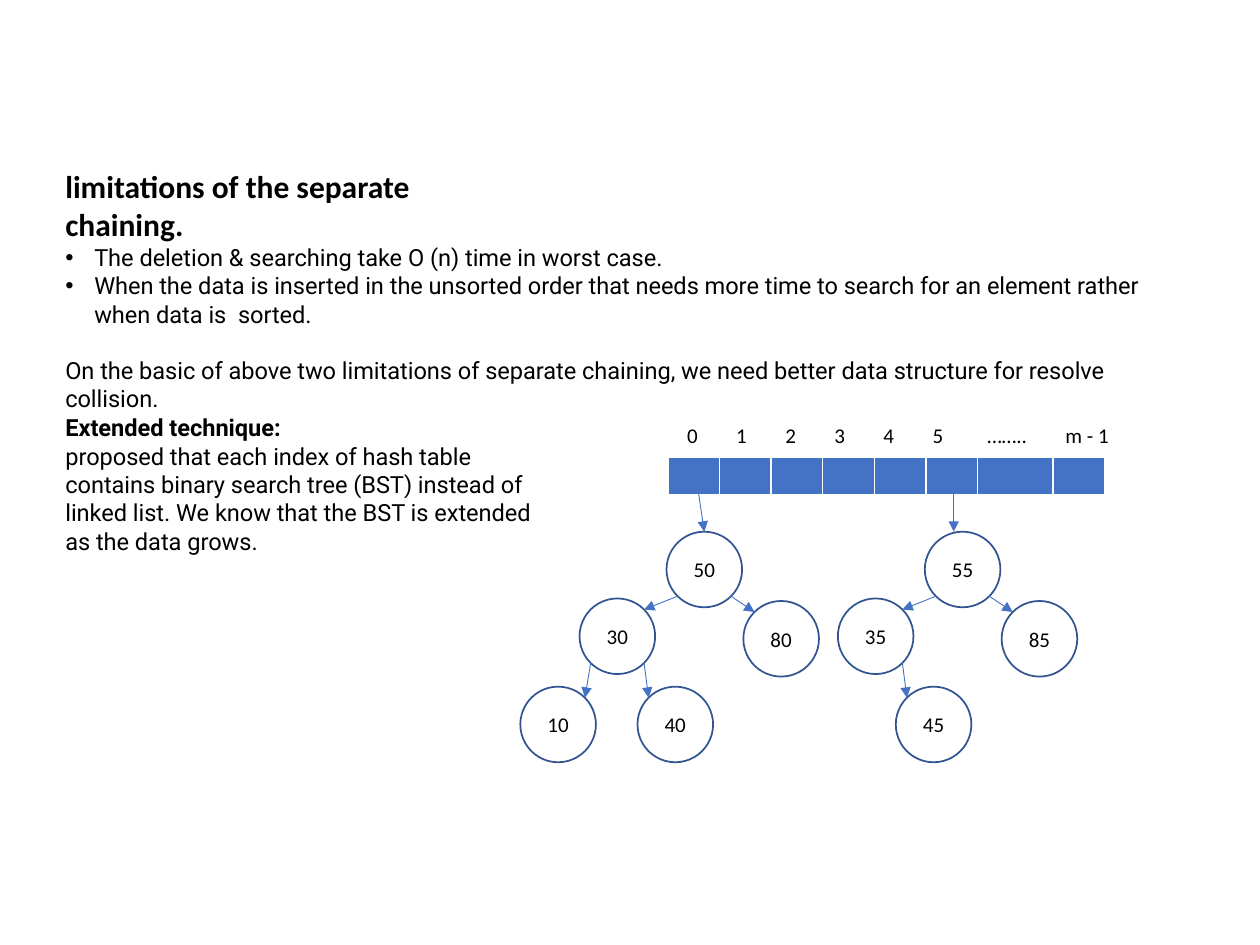
from dataclasses import dataclass

from lxml import etree
from pptx import Presentation
from pptx import util as u
from pptx.dml.color import RGBColor
from pptx.enum import shapes, text
from pptx.oxml.ns import qn


@dataclass(frozen=True)
class Theme:
    ink: RGBColor = RGBColor(0x00, 0x00, 0x00)
    paper: RGBColor = RGBColor(0xFF, 0xFF, 0xFF)
    blue: RGBColor = RGBColor(0x44, 0x72, 0xC4)
    outline: RGBColor = RGBColor(0x32, 0x54, 0x91)
    label_font: str = "Calibri"
    body_font: str = "Roboto"
    title_size: float = 18
    body_size: float = 13.5
    label_size: float = 12


THEME = Theme()


@dataclass(frozen=True)
class Line:
    words: str
    font: str = THEME.body_font
    size: float = THEME.body_size
    bold: bool = False
    bullet: bool = False
    space_before: float = 0


@dataclass(frozen=True)
class Node:
    x: float
    y: float
    key: str
    left: "Node | None" = None
    right: "Node | None" = None


RADIUS = 0.3
DIAGONAL = RADIUS * 0.5 ** 0.5
ROOT_X, ROOT_Y = 5.59, 4.52
TREE_SHIFT = 2.05
STEM_X, STEM_Y = 5.52, 3.75


def add_span(para, line: Line) -> None:
    span = para.add_run()
    span.text = line.words
    span.font.name = line.font
    span.font.size = u.Pt(line.size)
    span.font.bold = line.bold
    span.font.color.rgb = THEME.ink


def add_bullet(para) -> None:
    props = para._p.get_or_add_pPr()
    indent = u.Inches(0.23)
    props.set("marL", str(indent))
    props.set("indent", str(-indent))
    etree.SubElement(props, qn("a:buFont"), typeface="Arial")
    etree.SubElement(props, qn("a:buChar"), char="•")


def add_text(page, left: float, top: float, width: float, height: float,
             lines: list[Line]) -> None:
    box = page.shapes.add_textbox(*map(u.Inches, (left, top, width, height)))
    frame = box.text_frame
    frame.word_wrap = True
    frame.auto_size = text.MSO_AUTO_SIZE.SHAPE_TO_FIT_TEXT
    for index, line in enumerate(lines):
        para = frame.add_paragraph() if index else frame.paragraphs[0]
        if line.space_before:
            para.space_before = u.Pt(line.space_before)
        if line.bullet:
            add_bullet(para)
        add_span(para, line)


def add_row(page, left: float, top: float, height: float,
            widths: list[float], labels: list[str], fill: RGBColor | None) -> None:
    table = page.shapes.add_table(
        1, len(widths), *map(u.Inches, (left, top, sum(widths), height))).table
    table.rows[0].height = u.Inches(height)
    for column, width, cell, label in zip(
            table.columns, widths, table.rows[0].cells, labels):
        column.width = u.Inches(width)
        cell.margin_left = cell.margin_right = u.Inches(0.07)
        cell.margin_top = cell.margin_bottom = u.Inches(0.04 if label else 0)
        if fill is None:
            cell.fill.background()
        else:
            cell.fill.solid()
            cell.fill.fore_color.rgb = fill
        if label:
            para = cell.text_frame.paragraphs[0]
            para.alignment = text.PP_ALIGN.CENTER
            add_span(para, Line(label, THEME.label_font, THEME.label_size))


def add_arrow(page, x1: float, y1: float, x2: float, y2: float) -> None:
    arrow = page.shapes.add_connector(
        shapes.MSO_CONNECTOR.STRAIGHT, *map(u.Inches, (x1, y1, x2, y2)))
    arrow.line.color.rgb = THEME.blue
    arrow.line.width = u.Pt(0.5)
    etree.SubElement(arrow.line._get_or_add_ln(), qn("a:tailEnd"), type="triangle")
    etree.SubElement(arrow._element.spPr, qn("a:effectLst"))


def add_tree(page, node: Node) -> None:
    circle = page.shapes.add_shape(
        shapes.MSO_SHAPE.OVAL,
        *map(u.Inches, (node.x - RADIUS, node.y - RADIUS, 2 * RADIUS, 2 * RADIUS)))
    circle.shadow.inherit = False
    circle.fill.solid()
    circle.fill.fore_color.rgb = THEME.paper
    circle.line.color.rgb = THEME.outline
    circle.line.width = u.Pt(1)
    circle.text_frame.vertical_anchor = text.MSO_ANCHOR.MIDDLE
    para = circle.text_frame.paragraphs[0]
    para.alignment = text.PP_ALIGN.CENTER
    add_span(para, Line(node.key, THEME.label_font, THEME.label_size))
    for child, side in ((node.left, -1), (node.right, 1)):
        if child:
            add_tree(page, child)
            add_arrow(page, node.x + side * DIAGONAL, node.y + DIAGONAL,
                      child.x - side * DIAGONAL, child.y - DIAGONAL)


def make_tree(x: float, root: str, left: str, right: str,
              inner_left: str, inner_right: str) -> Node:
    low = ROOT_Y + 1.23
    lower_left = Node(x - 1.16, low, inner_left) if inner_left else None
    lower_right = Node(x - 0.23, low, inner_right)
    return Node(x, ROOT_Y, root,
                Node(x - 0.69, ROOT_Y + 0.53, left, lower_left, lower_right),
                Node(x + 0.61, ROOT_Y + 0.55, right))


def main() -> None:
    deck = Presentation()
    deck.slide_width, deck.slide_height = u.Inches(10), u.Inches(7.5)
    page = deck.slides.add_slide(deck.slide_layouts[6])

    add_text(page, 0.42, 1.28, 3.91, 0.71, [
        Line("limitations of the separate chaining.",
             THEME.label_font, THEME.title_size, bold=True)])
    add_text(page, 0.42, 1.88, 9.16, 1.46, [
        Line("The deletion & searching take O (n) time in worst case.", bullet=True),
        Line("When the data is inserted in the unsorted order that needs more time "
             "to search for an element rather when data is  sorted.", bullet=True),
        Line("On the basic of above two limitations of separate chaining, we need "
             "better data structure for resolve collision.", space_before=16)])
    add_text(page, 0.42, 3.23, 3.91, 1.24, [
        Line("Extended technique:", bold=True),
        Line("proposed that each index of hash table contains binary search tree "
             "(BST) instead of linked list. We know that the BST is extended as "
             "the data grows.")])

    add_row(page, 5.3, 3.63, 0.3, [0.41] * 6 + [0.6, 0.41], [""] * 8, THEME.blue)
    add_row(page, 5.3, 3.32, 0.3, [0.39] * 6 + [0.71, 0.56],
            ["0", "1", "2", "3", "4", "5", "……..", "m - 1"], None)

    second_stem = STEM_X + TREE_SHIFT
    add_tree(page, make_tree(ROOT_X, "50", "30", "80", "10", "40"))
    add_arrow(page, STEM_X, STEM_Y, ROOT_X, ROOT_Y - RADIUS)
    add_tree(page, make_tree(ROOT_X + TREE_SHIFT, "55", "35", "85", "", "45"))
    add_arrow(page, second_stem, STEM_Y, second_stem, ROOT_Y - RADIUS)
    deck.save("out.pptx")


if __name__ == "__main__":
    main()
